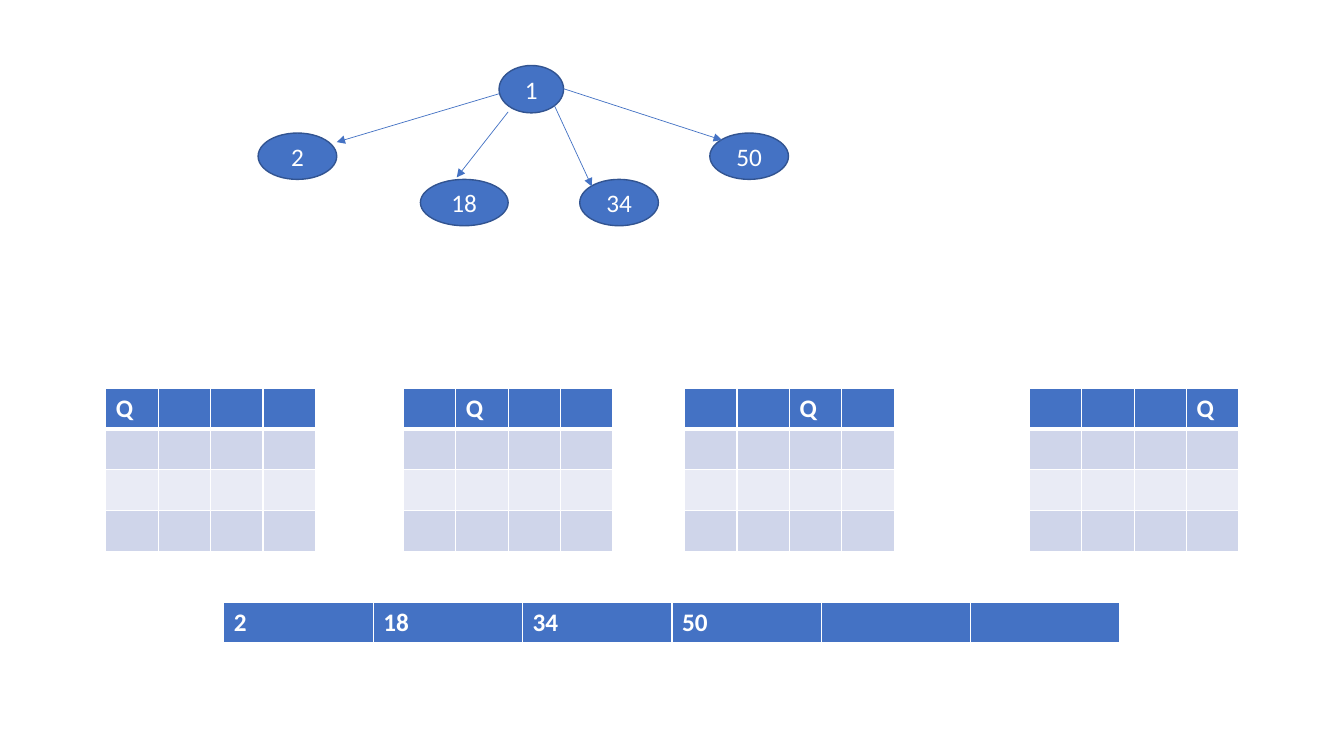
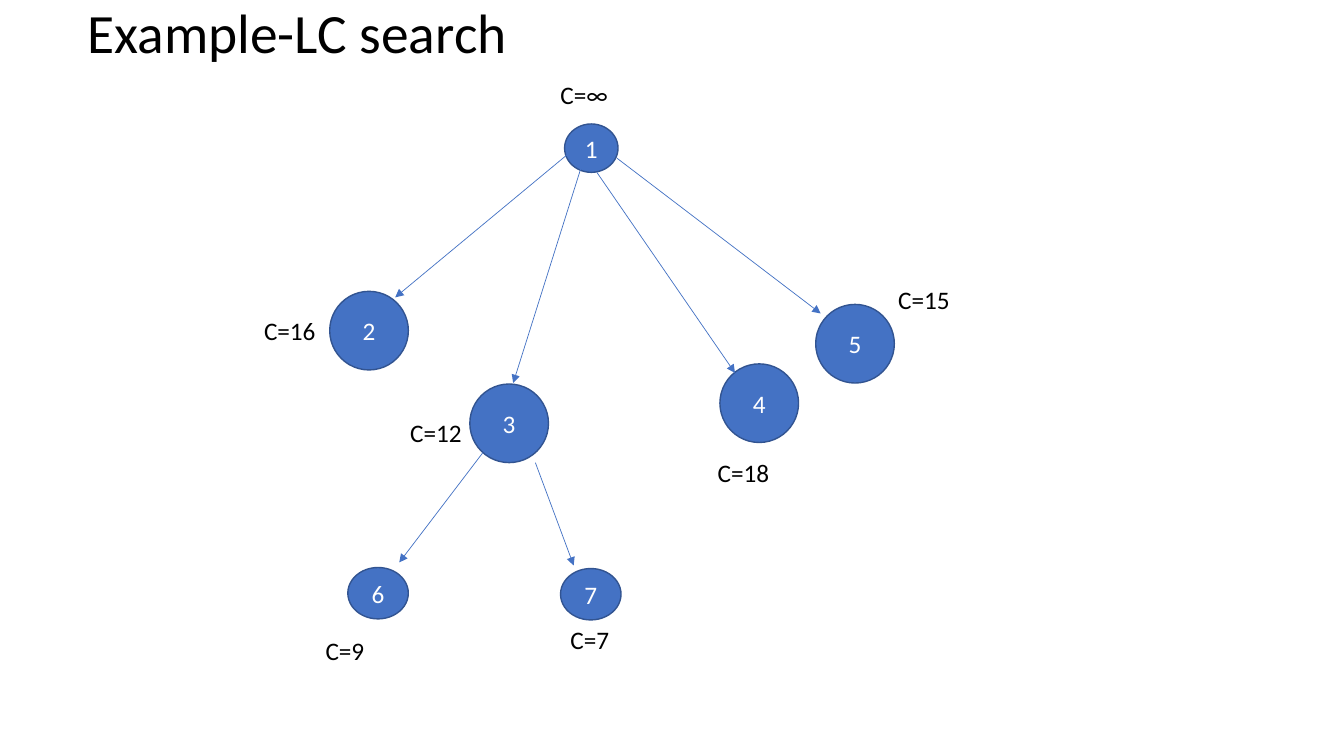
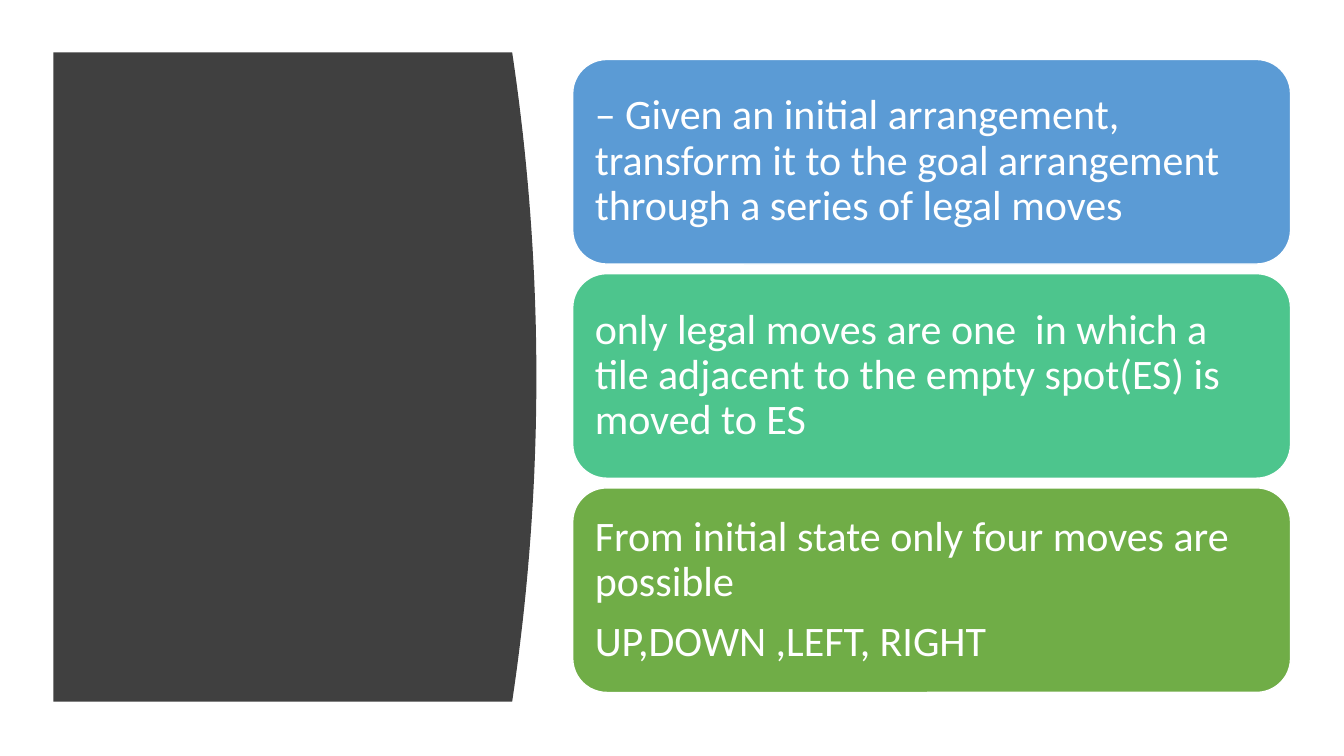
from dataclasses import dataclass

from lxml.etree import SubElement
from pptx import Presentation
from pptx.dml.color import RGBColor as Rgb
from pptx.enum.shapes import MSO_CONNECTOR as Link, MSO_SHAPE as Kind
from pptx.enum.text import MSO_ANCHOR as Anchor, MSO_AUTO_SIZE as Fit, PP_ALIGN as Align
from pptx.oxml.ns import qn
from pptx.util import Inches, Pt


@dataclass(frozen=True)
class Theme:
    font: str = "Calibri"
    white: str = "FFFFFF"
    black: str = "000000"
    blue: str = "4472C4"
    edge: str = "325491"
    bands: tuple = ("CFD5EA", "E9EBF5")
    panel: str = "404040"
    cards: tuple = ("5B9BD5", "4DC58D", "70AD47")
    head: float = 39.6
    body: float = 30
    small: float = 18
    thin: float = 0.5
    rule: float = 1
    thick: float = 3


class Deck:
    """Draws slide elements on a grid of 80 columns by 45 rows."""

    def __init__(self, theme):
        self.look = theme
        self.show = Presentation()
        self.show.slide_width = Inches(13.33)
        self.show.slide_height = Inches(7.5)
        self.slide = None

    def grid(self, *cells):
        return [round(self.show.slide_height * cell / 45) for cell in cells]

    def new(self, title=None):
        layout = self.show.slide_layouts[5 if title else 6]
        self.slide = self.show.slides.add_slide(layout)
        if title:
            shape = self.slide.shapes.title
            shape.left, shape.top, shape.width, shape.height = self.grid(4.62, 0.84, 65.82, 2.58)
            frame = shape.text_frame
            frame.auto_size = Fit.NONE
            frame.vertical_anchor = Anchor.MIDDLE
            self.put(frame, title, self.look.head, self.look.black, space=0.9)

    def put(self, frame, text, size, color, align=Align.LEFT, bold=False, space=None, after=None):
        frame.text = text
        frame.word_wrap = True
        for para in frame.paragraphs:
            para.alignment = align
            para.line_spacing = space
            para.space_after = after
            for run in para.runs:
                font = run.font
                font.name, font.size, font.bold = self.look.font, Pt(size), bold
                font.color.rgb = Rgb.from_string(color)

    def paint(self, shape, fill, line=None):
        shape.shadow.inherit = False
        shape.fill.solid()
        shape.fill.fore_color.rgb = Rgb.from_string(fill)
        if line:
            shape.line.color.rgb = Rgb.from_string(line)
            shape.line.width = Pt(self.look.rule)
        else:
            shape.line.fill.background()

    def node(self, text, x, y, w=4.68, h=4.68):
        shape = self.slide.shapes.add_shape(Kind.OVAL, *self.grid(x, y, w, h))
        self.paint(shape, self.look.blue, self.look.edge)
        shape.text_frame.vertical_anchor = Anchor.MIDDLE
        self.put(shape.text_frame, text, self.look.small, self.look.white, Align.CENTER)

    def arrow(self, *ends):
        link = self.slide.shapes.add_connector(Link.STRAIGHT, *self.grid(*ends))
        link.line.color.rgb = Rgb.from_string(self.look.blue)
        link.line.width = Pt(self.look.thin)
        props = link.element.spPr
        SubElement(props.find(qn("a:ln")), qn("a:tailEnd"), type="triangle")
        SubElement(props, qn("a:effectLst"))

    def label(self, text, x, y, w=6.72):
        box = self.slide.shapes.add_textbox(*self.grid(x, y, w, 2.4))
        self.put(box.text_frame, text, self.look.small, self.look.black)

    def border(self, cell, row):
        look = self.look
        top = look.thick if row == 1 else look.rule
        base = look.thick if row == 0 else look.rule
        props = cell._tc.get_or_add_tcPr()
        for side, width in zip("LRTB", (look.rule, look.rule, top, base)):
            line = SubElement(props, qn(f"a:ln{side}"), w=str(Pt(width)))
            fill = SubElement(line, qn("a:solidFill"))
            SubElement(fill, qn("a:srgbClr"), val=look.white)

    def table(self, x, y, w, heads, rows=1):
        size = self.grid(x, y, w, 2.43 * rows)
        table = self.slide.shapes.add_table(rows, len(heads), *size).table
        for row in range(rows):
            color = self.look.bands[(row - 1) % 2] if row else self.look.blue
            for col, head in enumerate(heads):
                cell = table.cell(row, col)
                self.border(cell, row)
                cell.fill.solid()
                cell.fill.fore_color.rgb = Rgb.from_string(color)
                if head and row == 0:
                    self.put(cell.text_frame, head, self.look.small, self.look.white, bold=True)

    def panel(self, left, top, right, base, bulge, steps=40):
        mid, half = (top + base) / 2, (base - top) / 2
        curve = []
        for step in range(steps + 1):
            part = 2 * step / steps - 1
            curve.append(self.grid(right + bulge * (1 - part**2), mid + half * part))
        form = self.slide.shapes.build_freeform(*self.grid(left, top))
        form.add_line_segments(curve + [self.grid(left, base)], close=True)
        self.paint(form.convert_to_shape(), self.look.panel)

    def card(self, text, fill, x, y, w, h):
        shape = self.slide.shapes.add_shape(Kind.ROUNDED_RECTANGLE, *self.grid(x, y, w, h))
        self.paint(shape, fill, self.look.white)
        frame = shape.text_frame
        frame.margin_left = frame.margin_right = Inches(0.12)
        frame.margin_top = frame.margin_bottom = Inches(0.12)
        frame.vertical_anchor = Anchor.MIDDLE
        self.put(frame, text, self.look.body, self.look.white, space=0.9, after=Pt(10.5))


def queens(deck):
    deck.new()
    for node in (
        ("1", 29.7, 3.9, 3.84, 2.82),
        ("18", 25.02, 10.68, 5.22, 2.76),
        ("34", 34.5, 10.68, 4.68, 2.76),
        ("50", 42.24, 7.92, 4.68, 2.76),
        ("2", 15.36, 7.92, 4.68, 2.76),
    ):
        deck.node(*node)
    for ends in (
        (29.7, 5.58, 20.04, 8.46),
        (30.24, 6.66, 27.18, 10.56),
        (33, 6.3, 35.22, 11.1),
        (33.54, 5.28, 42.96, 8.34),
    ):
        deck.arrow(*ends)
    for spot, x in enumerate((6.3, 24, 40.74, 61.26)):
        heads = ["Q" if col == spot else "" for col in range(4)]
        deck.table(x, 23.1, 12.48, heads, rows=4)
    deck.table(13.32, 35.88, 53.34, ["2", "18", "34", "50", "", ""])


def search(deck):
    deck.new("Example-LC search")
    for node in (
        ("1", 33.6, 7.38, 3.18, 2.88),
        ("2", 19.62, 17.34),
        ("3", 27.96, 22.86),
        ("4", 42.84, 21.66),
        ("5", 48.54, 18.12),
        ("6", 20.7, 33.78, 3.6, 3.06),
        ("7", 33.36, 33.84, 3.6, 3.06),
    ):
        deck.node(*node)
    for ends in (
        (34.44, 8.64, 23.52, 17.7),
        (34.68, 9.66, 30.54, 22.8),
        (35.52, 10.26, 43.74, 22.2),
        (36.72, 9.42, 48.84, 18.66),
        (28.74, 26.94, 23.76, 33.48),
        (31.86, 27.54, 34.14, 33.66),
    ):
        deck.arrow(*ends)
    for label in (
        ("C=∞", 32.76, 4.44, 4.68),
        ("C=12", 23.82, 24.54),
        ("C=16", 15.12, 18.48),
        ("C=18", 42.12, 26.94),
        ("C=15", 52.86, 16.62),
        ("C=9", 18.78, 37.5),
        ("C=7", 33.36, 36.84),
    ):
        deck.label(*label)


def moves(deck):
    deck.new()
    deck.panel(3.18, 3.12, 30.48, 41.76, 1.44)
    texts = (
        "– Given an initial arrangement, transform it to the goal arrangement "
        "through a series of legal moves",
        "only legal moves are one  in which a tile adjacent to the empty spot(ES) is moved to ES",
        "From initial state only four moves are possible\nUP,DOWN ,LEFT, RIGHT",
    )
    for row, (text, fill) in enumerate(zip(texts, deck.look.cards)):
        deck.card(text, fill, 34.08, 3.54 + 12.75 * row, 42.72, 12.18)


def main():
    deck = Deck(Theme())
    queens(deck)
    search(deck)
    moves(deck)
    deck.show.save("out.pptx")


if __name__ == "__main__":
    main()
